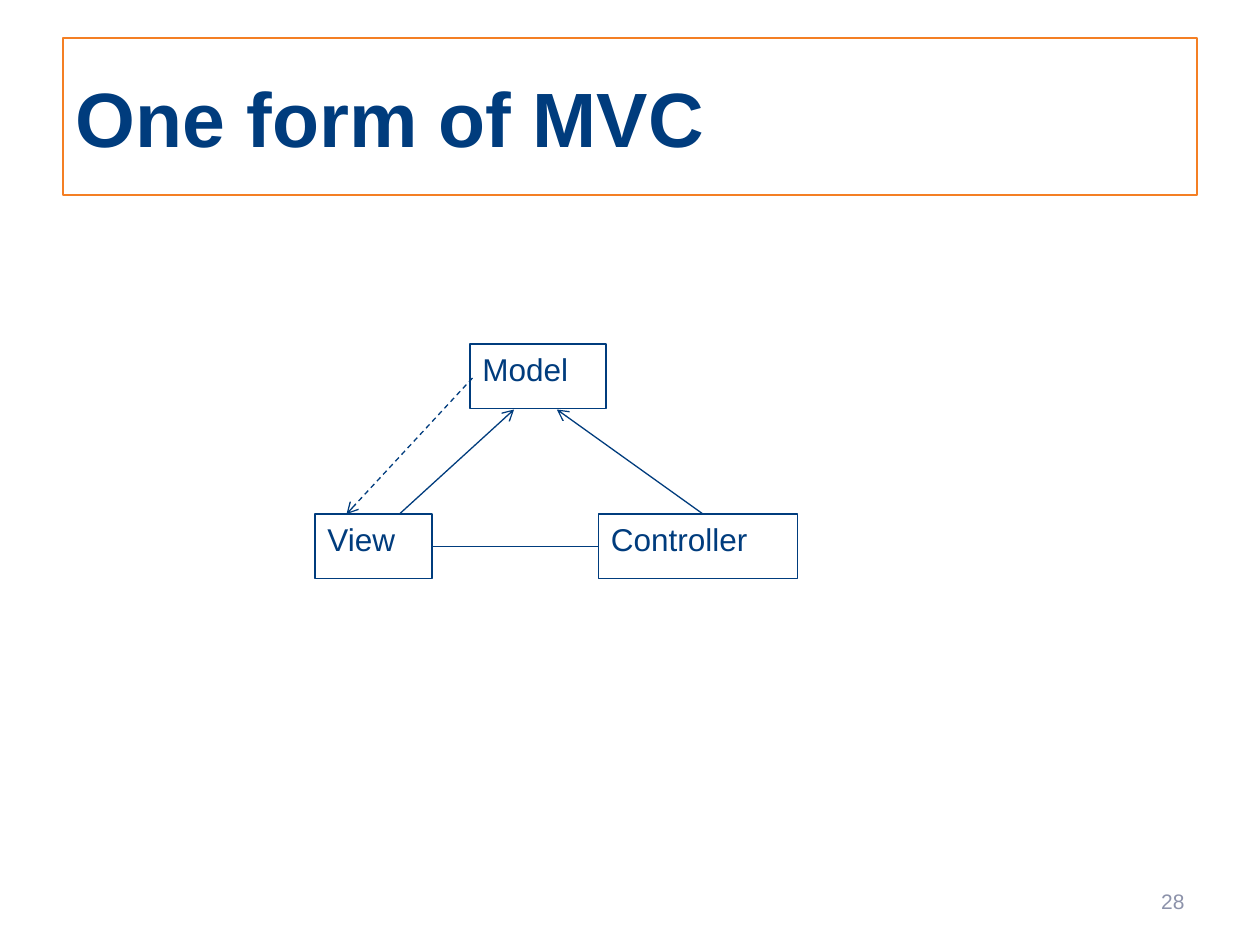
"""Build the slide that shows one form of the MVC pattern."""
import pptx
import pptx.dml.color
import pptx.enum.dml
import pptx.enum.shapes
import pptx.enum.text
import pptx.oxml
import pptx.oxml.ns
import pptx.util

Inches = pptx.util.Inches
Pt = pptx.util.Pt
COLORS = {"navy": "003C7D", "orange": "F47F24", "gray": "8C92AA"}


def color(name):
    return pptx.dml.color.RGBColor.from_string(COLORS[name])


def write(shape, text, size, name, anchor, align, bold=False):
    frame = shape.text_frame
    frame.word_wrap = True
    frame.auto_size = pptx.enum.text.MSO_AUTO_SIZE.NONE
    frame.vertical_anchor = anchor
    paragraph = frame.paragraphs[0]
    paragraph.alignment = align
    run = paragraph.add_run()
    run.text = text
    run.font.name = "Arial"
    run.font.size = Pt(size)
    run.font.bold = bold
    run.font.color.rgb = color(name)


deck = pptx.Presentation()
deck.slide_width, deck.slide_height = Inches(10), Inches(7.5)
slide = deck.slides.add_slide(deck.slide_layouts[5])
anchors = pptx.enum.text.MSO_ANCHOR
aligns = pptx.enum.text.PP_ALIGN

page_number = slide.shapes.add_textbox(Inches(7.17), Inches(6.95), Inches(2.33), Inches(0.4))
write(page_number, "28", 12, "gray", anchors.MIDDLE, aligns.RIGHT)

heading = slide.shapes.title
heading.left, heading.top = Inches(0.5), Inches(0.3)
heading.width, heading.height = Inches(9), Inches(1.25)
heading.line.color.rgb = color("orange")
heading.line.width = Pt(1)
write(heading, "One form of MVC", 44, "navy", anchors.MIDDLE, aligns.LEFT, True)

roles = {}
for role, left, top, width in [
    ("Model", 3.73, 2.73, 1.08),
    ("View", 2.5, 4.08, 0.93),
    ("Controller", 4.75, 4.08, 1.58),
]:
    box = slide.shapes.add_shape(
        pptx.enum.shapes.MSO_SHAPE.RECTANGLE,
        Inches(left), Inches(top), Inches(width), Inches(0.51))
    box.shadow.inherit = False
    box.fill.background()
    box.line.color.rgb = color("navy")
    box.line.width = Pt(0.75)
    write(box, role, 18, "navy", anchors.TOP, aligns.LEFT)
    roles[role] = box

links = {}
for link, start, end, arrow in [
    ("view to model", (3.17, 4.08), (4.08, 3.25), "tailEnd"),
    ("controller to model", (4.42, 3.25), (5.58, 4.08), "headEnd"),
    ("controller to view", (4.75, 4.33), (3.43, 4.33), None),
    ("model to view", (3.75, 3), (2.75, 4.08), "tailEnd"),
]:
    line = slide.shapes.add_connector(
        pptx.enum.shapes.MSO_CONNECTOR.STRAIGHT,
        *[Inches(value) for value in start + end])
    line.line.color.rgb = color("navy")
    line.line.width = Pt(0.75)
    if link == "model to view":
        line.line.dash_style = pptx.enum.dml.MSO_LINE.DASH
    if arrow:
        line.line._get_or_add_ln().append(pptx.oxml.parse_xml(
            f'<a:{arrow} {pptx.oxml.ns.nsdecls("a")} type="arrow"/>'))
    line._element.spPr.append(pptx.oxml.parse_xml(
        f'<a:effectLst {pptx.oxml.ns.nsdecls("a")}/>'))
    links[link] = line

links["controller to view"].begin_connect(roles["Controller"], 1)
links["controller to view"].end_connect(roles["View"], 3)

deck.save("out.pptx")
